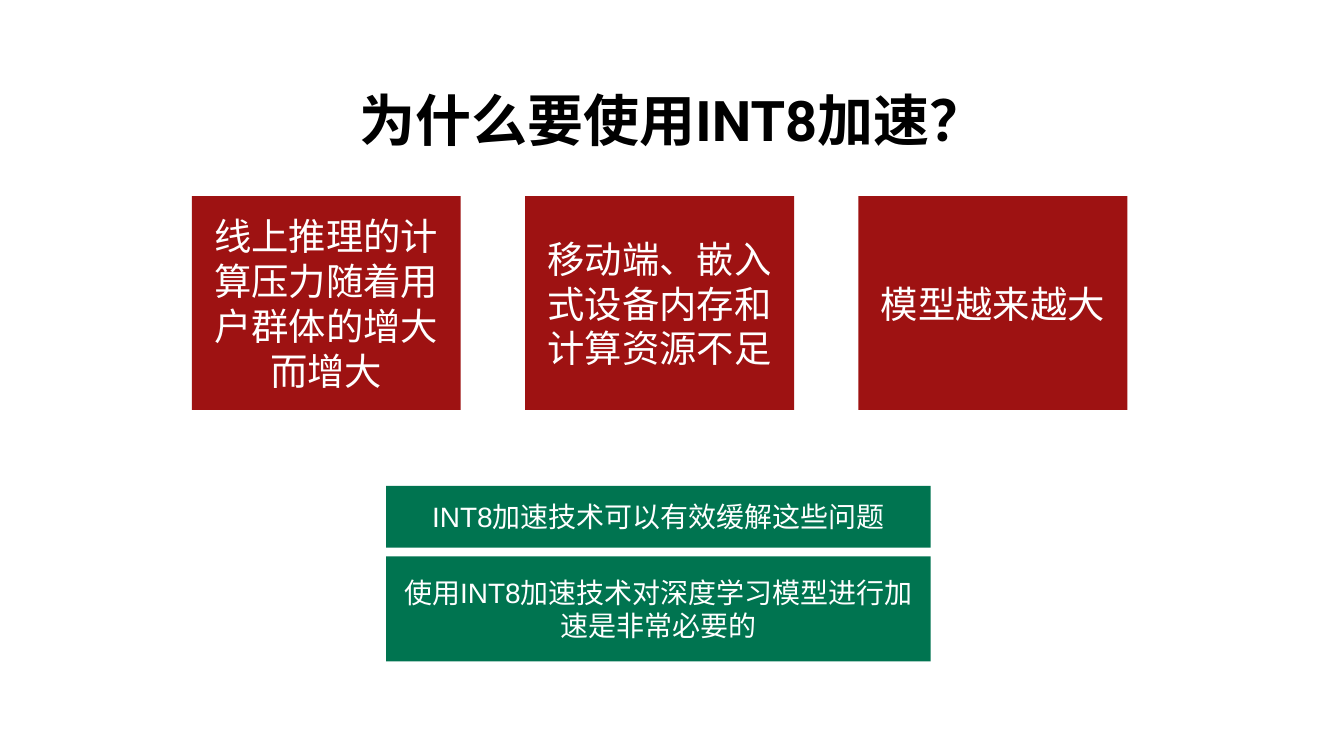
from dataclasses import dataclass

from lxml import etree
from pptx import Presentation
from pptx.dml.color import RGBColor
from pptx.enum.shapes import MSO_SHAPE
from pptx.enum.text import MSO_ANCHOR, PP_ALIGN
from pptx.oxml.ns import qn
from pptx.slide import Slide
from pptx.text.text import TextFrame
from pptx.util import Cm, Pt

RECT = MSO_SHAPE.RECTANGLE
MIDDLE, BOTTOM = MSO_ANCHOR.MIDDLE, MSO_ANCHOR.BOTTOM
CENTER = PP_ALIGN.CENTER

COLORS = {"black": "000000", "white": "FFFFFF", "red": "9E1212", "green": "007450"}
CJK_FONT = "Noto Sans CJK SC"

REASONS = [
    "线上推理的计算压力随着用户群体的增大而增大",
    "移动端、嵌入式设备内存和计算资源不足",
    "模型越来越大",
]
REASON_LEFT, REASON_STEP = 4.35, 7.56


@dataclass
class Box:
    text: str
    left: float
    top: float
    width: float
    height: float
    color: str
    font: str
    size: int


def write(tf: TextFrame, text: str, *, font: str, size: int, color: str = "white",
          bold: bool = False, anchor: MSO_ANCHOR = MIDDLE, spacing: float = 1.0) -> None:
    tf.word_wrap = True
    tf.vertical_anchor = anchor
    p = tf.paragraphs[0]
    p.alignment = CENTER
    p.line_spacing = spacing
    r = p.add_run()
    r.text = text
    r.font.name = font
    r.font.size = Pt(size)
    r.font.bold = bold
    r.font.color.rgb = RGBColor.from_string(COLORS[color])
    east_asian = etree.SubElement(r.font._element, qn("a:ea"))
    east_asian.set("typeface", CJK_FONT)


def draw_title(s: Slide, text: str) -> None:
    tf = s.shapes.add_textbox(Cm(1.4), Cm(1.83), Cm(27.7), Cm(1.65)).text_frame
    tf.margin_left = tf.margin_right = tf.margin_top = tf.margin_bottom = 0
    write(tf, text, font="Roboto", size=36, color="black", bold=True,
          anchor=BOTTOM, spacing=0.9)


def draw_box(s: Slide, box: Box) -> None:
    sp = s.shapes.add_shape(RECT, Cm(box.left), Cm(box.top), Cm(box.width), Cm(box.height))
    sp.shadow.inherit = False
    sp.fill.solid()
    sp.fill.fore_color.rgb = RGBColor.from_string(COLORS[box.color])
    sp.line.fill.background()
    write(sp.text_frame, box.text, font=box.font, size=box.size)


def main() -> None:
    prs = Presentation()
    prs.slide_width, prs.slide_height = Cm(30.48), Cm(17.145)
    s = prs.slides.add_slide(prs.slide_layouts[6])

    draw_title(s, "为什么要使用INT8加速？")
    for i, reason in enumerate(REASONS):
        draw_box(s, Box(reason, REASON_LEFT + i * REASON_STEP, 4.45, 6.1, 4.85,
                        "red", CJK_FONT, 24))
    for text, top, height in [
        ("INT8加速技术可以有效缓解这些问题", 11.02, 1.4),
        ("使用INT8加速技术对深度学习模型进行加速是非常必要的", 12.62, 2.38),
    ]:
        draw_box(s, Box(text, 8.76, top, 12.35, height, "green", "Arial", 18))

    prs.save("out.pptx")


if __name__ == "__main__":
    main()
